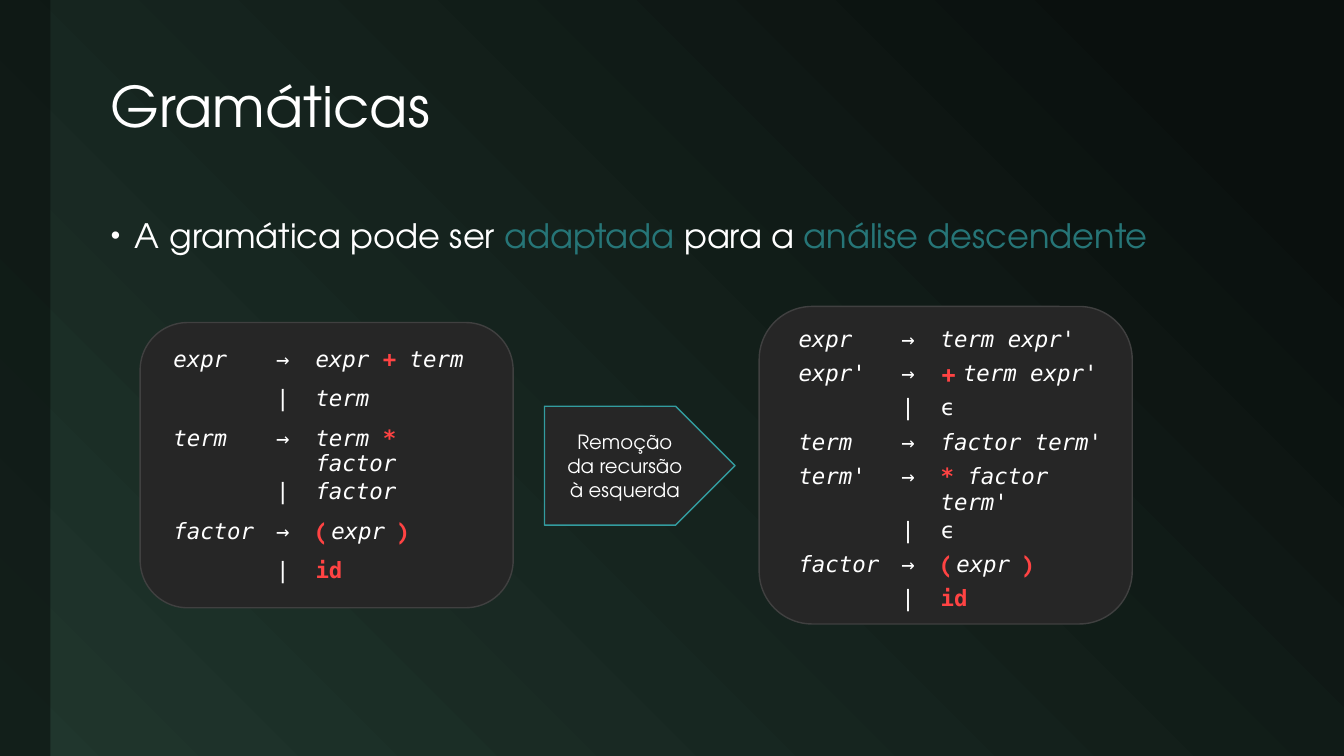
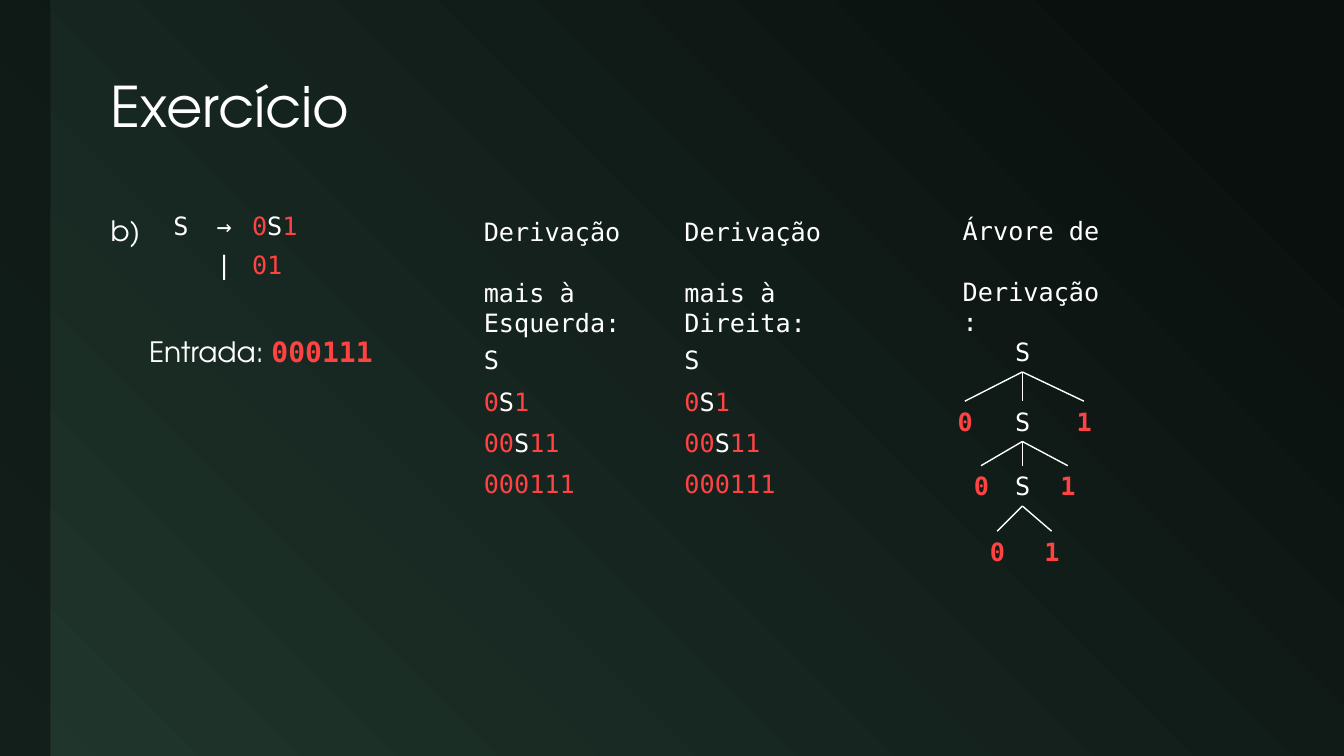
from itertools import groupby

from lxml import etree
from pptx import Presentation
from pptx.dml.color import RGBColor
from pptx.enum.shapes import MSO_CONNECTOR, MSO_SHAPE
from pptx.enum.text import MSO_ANCHOR, PP_ALIGN
from pptx.oxml.ns import qn
from pptx.util import Inches, Pt

CENTER, RIGHT = PP_ALIGN.CENTER, PP_ALIGN.RIGHT
TOP, MIDDLE = MSO_ANCHOR.TOP, MSO_ANCHOR.MIDDLE
STRAIGHT = MSO_CONNECTOR.STRAIGHT
RECT, ROUNDED, PLATE = MSO_SHAPE.RECTANGLE, MSO_SHAPE.ROUNDED_RECTANGLE, MSO_SHAPE.PENTAGON

W, H = 13.33, 7.5
LEFT, WIDTH = 1, 11.65
BOTTOM_SIDE, TOP_SIDE = 2, 0
NO_TABLE_STYLE = "{2D5ABB26-0587-4C30-8999-92F81FD0307C}"
SANS, MONO = "TeX Gyre Adventor", "DejaVu Sans Mono"
COLORS = {"dark": "0A100E", "green": "20362D", "panel": "262626", "edge": "404040",
          "teal": "339C9F", "accent": "267577", "red": "FF4343", "white": "FFFFFF"}

# name: font, colour, bold, italic
STYLES = {
    "text": (SANS, "white", False, False),
    "accent": (SANS, "accent", False, False),
    "code": (MONO, "white", False, False),
    "var": (MONO, "white", False, True),
    "digit": (MONO, "red", False, False),
    "token": (MONO, "red", True, False),
    "slanted": (MONO, "red", True, True),
    "sign": (SANS, "red", True, False),
}

INTRO = [("A gramática pode ser ", "text"), ("adaptada", "accent"),
         (" para a ", "text"), ("análise descendente", "accent")]
REMOVAL = ["Remoção", "da recursão", "à esquerda"]

PARENTHESES = [("( ", "sign"), ("expr ", "var"), (")", "sign")]
IDENTIFIER = [("id", "token")]
EPSILON = [("ϵ", "code")]
# each rule: symbol, alternatives
RECURSIVE = [
    ("expr", [[("expr ", "var"), ("+ ", "token"), ("term", "var")], [("term", "var")]]),
    ("term", [[("term ", "var"), ("* ", "slanted"), ("factor", "var")], [("factor", "var")]]),
    ("factor", [PARENTHESES, IDENTIFIER]),
]
ADAPTED = [
    ("expr", [[("term expr'", "var")]]),
    ("expr'", [[("+ ", "sign"), ("term expr'", "var")], EPSILON]),
    ("term", [[("factor term'", "var")]]),
    ("term'", [[("* ", "token"), ("factor term'", "var")], EPSILON]),
    ("factor", [PARENTHESES, IDENTIFIER]),
]

HEADINGS = [(4.7, 2.1, "Derivação \vmais à \vEsquerda:"),
            (6.69, 2.1, "Derivação \vmais à \vDireita:"),
            (9.45, 2.09, "Árvore de \vDerivação:")]
DERIVATION = ["S", "0S1", "00S11", "000111"]
TREE = ["S", "0S1", "0S1", "01"]
TREE_TOPS = [3.29, 3.98, 4.62, 5.27]
TREE_X, NODE_W, NODE_H = 10.14, 0.34, 0.4
SPREAD = {"0": -0.57, "S": 0, "1": 0.61}
NARROWING = 0.16


def rgb(name):
    return RGBColor.from_string(COLORS[name])


def write(p, runs, size, align=None):
    """Add (text, style) runs; a vertical tab is a line break."""
    for text, style in runs:
        font, color, bold, italic = STYLES[style]
        for i, line in enumerate(text.split("\v")):
            if i:
                p.add_line_break()
            r = p.add_run()
            r.text = line
            r.font.name, r.font.size = font, Pt(size)
            r.font.bold, r.font.italic = bold, italic
            r.font.color.rgb = rgb(color)
    if align is not None:
        p.alignment = align


def digits_red(word, style="digit"):
    return [("".join(g), "code" if is_symbol else style)
            for is_symbol, g in groupby(word, lambda c: c == "S")]


def add_text(slide, box, runs, size, align=None, spacing=None, anchor=TOP, wrap=True):
    sp = slide.shapes.add_textbox(*map(Inches, box))
    tf = sp.text_frame
    tf.word_wrap, tf.vertical_anchor = wrap, anchor
    p = tf.paragraphs[0]
    write(p, runs, size, align)
    if spacing:
        p.line_spacing = spacing
    return sp


def add_box(slide, kind, box, fill, line=None):
    sp = slide.shapes.add_shape(kind, *map(Inches, box))
    sp.shadow.inherit = False
    sp.fill.solid()
    sp.fill.fore_color.rgb = rgb(fill)
    if line:
        sp.line.color.rgb, sp.line.width = rgb(line), Pt(1)
    else:
        sp.line.fill.background()
    return sp


def add_slide(prs, title):
    """Start a slide with the gradient, side band and title."""
    slide = prs.slides.add_slide(prs.slide_layouts[6])
    fill = slide.background.fill
    fill.gradient()
    fill.gradient_angle = 225
    for stop, position, color in zip(fill.gradient_stops, (0.1, 1), ("dark", "green")):
        stop.position, stop.color.rgb = position, rgb(color)
    band = add_box(slide, RECT, (0, 0, 0.5, H), "dark")
    color = band.fill._xPr.find(qn("a:solidFill"))[0]
    etree.SubElement(color, qn("a:alpha")).set("val", "60000")
    add_text(slide, (LEFT, 0.42, WIDTH, 1.33), [(title, "text")], 40, spacing=0.9, anchor=MIDDLE)
    return slide


def add_grammar(slide, left, top, widths, row_h, rules, size, symbol_style, mark_align=None):
    rows = [([(symbol, symbol_style)] if i == 0 else [], [("|" if i else "→", "code")], body)
            for symbol, bodies in rules for i, body in enumerate(bodies)]
    frame = slide.shapes.add_table(len(rows), len(widths), *map(
        Inches, (left, top, sum(widths), row_h * len(rows))))
    table = frame.table
    table.first_row = table.horz_banding = False
    table._tbl.tblPr.find(qn("a:tableStyleId")).text = NO_TABLE_STYLE
    for column, width in zip(table.columns, widths):
        column.width = Inches(width)
    for i, row in enumerate(rows):
        table.rows[i].height = Inches(row_h)
        for j, runs in enumerate(row):
            cell = table.cell(i, j)
            cell.margin_top = cell.margin_bottom = 0
            cell.fill.background()
            write(cell.text_frame.paragraphs[0], runs, size, mark_align if j == 1 else None)


def add_bullet(p, indent):
    pPr = p._p.get_or_add_pPr()
    pPr.set("marL", str(Inches(indent)))
    pPr.set("indent", str(-Inches(indent)))
    etree.SubElement(pPr, qn("a:buSzPct")).set("val", "80000")
    etree.SubElement(pPr, qn("a:buFont")).set("typeface", "Arial")
    etree.SubElement(pPr, qn("a:buChar")).set("char", "•")


def add_branch(slide, parent, child):
    line = slide.shapes.add_connector(STRAIGHT, 0, 0, 0, 0)
    line.begin_connect(parent, BOTTOM_SIDE)
    line.end_connect(child, TOP_SIDE)
    line.line.color.rgb, line.line.width = rgb("white"), Pt(1)
    etree.SubElement(line._element.spPr, qn("a:effectLst"))


def add_tree(slide):
    parent = None
    for level, (symbols, top) in enumerate(zip(TREE, TREE_TOPS)):
        nodes = {}
        for s in symbols:
            full = SPREAD[s]
            shrink = 1 if full < 0 else -1
            offset = full + shrink * NARROWING * (level - 1) if full else 0
            box = (TREE_X + offset - NODE_W / 2, top, NODE_W, NODE_H)
            nodes[s] = add_text(slide, box, digits_red(s, "token"), 18, CENTER, wrap=False)
            if parent is not None:
                add_branch(slide, parent, nodes[s])
        parent = nodes.get("S")


def grammar_slide(prs):
    slide = add_slide(prs, "Gramáticas")
    intro = add_text(slide, (LEFT, 2, WIDTH, 0.7), INTRO, 24, spacing=1.2)
    add_bullet(intro.text_frame.paragraphs[0], 0.24)
    add_box(slide, ROUNDED, (1.39, 3.2, 3.7, 2.83), "panel", "edge")
    add_box(slide, ROUNDED, (7.53, 3.04, 3.7, 3.15), "panel", "edge")
    add_grammar(slide, 1.62, 3.44, (1.02, 0.39, 1.81), 0.39, RECURSIVE, 16, "var")
    add_grammar(slide, 7.82, 3.24, (1.02, 0.39, 1.92), 0.34, ADAPTED, 16, "var")
    plate = add_box(slide, PLATE, (5.4, 4.03, 1.89, 1.18), "panel", "teal")
    tf = plate.text_frame
    tf.vertical_anchor = MIDDLE
    for i, line in enumerate(REMOVAL):
        p = tf.add_paragraph() if i else tf.paragraphs[0]
        write(p, [(line, "text")], 14, CENTER)


def exercise_slide(prs):
    slide = add_slide(prs, "Exercício")
    add_text(slide, (LEFT, 2, 0.6, 0.5), [("b)", "text")], 20, spacing=1.2)
    add_text(slide, (1.38, 3.2, 3, 0.5), [("Entrada: ", "text"), ("000111", "token")],
             20, spacing=1.2)
    rules = [("S", [digits_red("0S1"), digits_red("01")])]
    add_grammar(slide, 1.62, 2.1, (0.39, 0.39, 0.67), 0.39, rules, 18, "code", RIGHT)
    for left, top, heading in HEADINGS:
        add_text(slide, (left, top, 1.59, 1.01), [(heading, "code")], 18)
    for left, _, _ in HEADINGS[:2]:
        for i, step in enumerate(DERIVATION):
            add_text(slide, (left, 3.37 + i * 0.41, 1.34, 0.4), digits_red(step), 18)
    add_tree(slide)


def main():
    prs = Presentation()
    prs.slide_width, prs.slide_height = Inches(W), Inches(H)
    grammar_slide(prs)
    exercise_slide(prs)
    prs.save("out.pptx")


if __name__ == "__main__":
    main()
